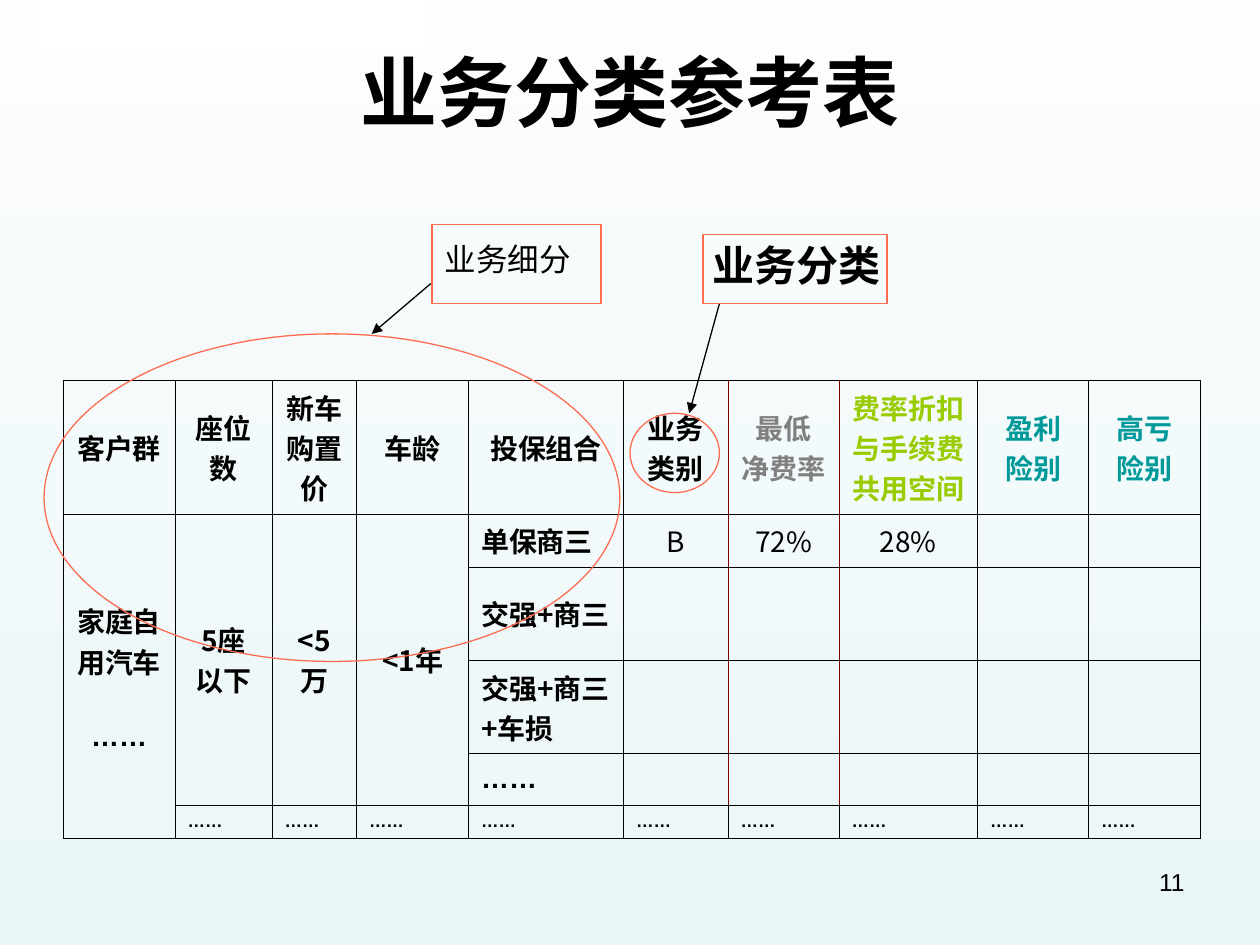
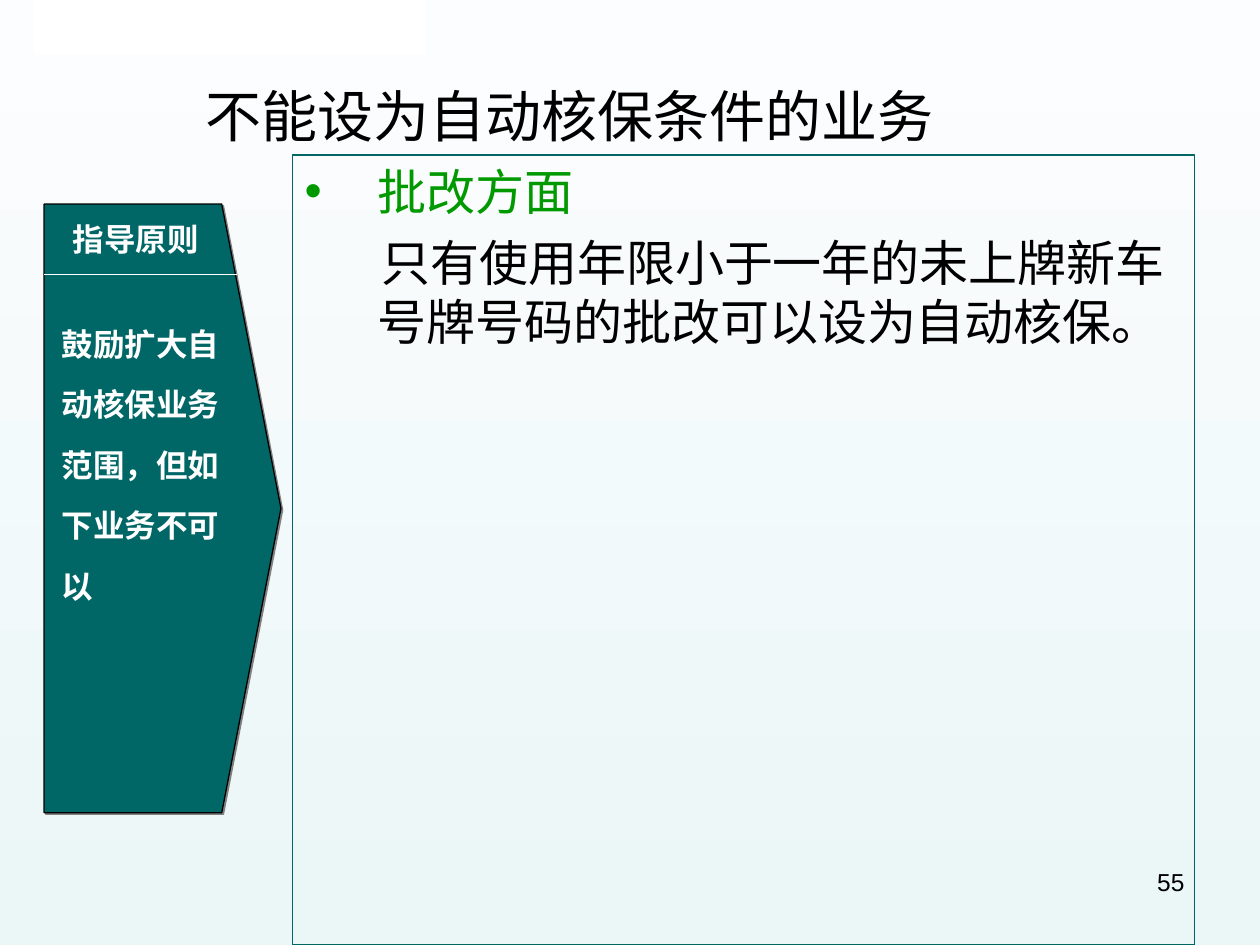
from lxml.etree import SubElement
from pptx import Presentation
from pptx.dml.color import RGBColor
from pptx.enum.shapes import MSO_CONNECTOR, MSO_SHAPE
from pptx.enum.text import MSO_ANCHOR, MSO_AUTO_SIZE, PP_ALIGN
from pptx.oxml import parse_xml
from pptx.oxml.ns import nsdecls, qn
from pptx.util import Inches, Pt

SANS = "Noto Sans CJK SC"
BLACK, WHITE, TEAL, GREEN = "000000", "FFFFFF", "006666", "009900"
CORAL, MAROON = "FE6D50", "800000"
DOTS = "……"

COLUMNS = [0.89, 0.77, 0.67, 0.89, 1.23, 0.83, 0.88, 1.1, 0.88, 0.89]
ROWS = [0.9, 0.37, 0.64, 0.64, 0.37, 0.27]
HEADERS = [
    ("客户群", BLACK), ("座位数", BLACK), ("新车\n购置价", BLACK), ("车龄", BLACK),
    ("投保组合", BLACK), ("业务类别", BLACK), ("最低\n净费率", "808080"),
    ("费率折扣\n与手续费\n共用空间", "99CC00"), ("盈利\n险别", "009999"), ("高亏\n险别", "009999"),
]
SEGMENTS = ["5座以下", "<5万", "<1年"]
COVERS = ["单保商三", "交强+商三", "交强+商三+车损", DOTS]
RATES = ["B", "72%", "28%"]


def color(code):
    return RGBColor.from_string(code)


def lengths(*values):
    return [Inches(value) for value in values]


def write(para, text, size, font="Arial", ink=BLACK, bold=False, align=PP_ALIGN.LEFT):
    para.alignment = align
    for number, line in enumerate(text.split("\n")):
        if number:
            para.add_line_break()
        span = para.add_run()
        span.text = line
        span.font.size = Pt(size)
        span.font.bold = bold
        span.font.name = font
        span.font.color.rgb = color(ink)
        properties = span.font._element
        properties.set("lang", "zh-CN")
        SubElement(properties, qn("a:ea")).set("typeface", font)


def set_frame(shape, anchor=MSO_ANCHOR.TOP, wrap=True):
    frame = shape.text_frame
    frame.word_wrap = wrap
    frame.auto_size = MSO_AUTO_SIZE.NONE
    frame.vertical_anchor = anchor
    return frame


def add_text(shapes, box, text, size, wrap=True, **style):
    frame = set_frame(shapes.add_textbox(*lengths(*box)), wrap=wrap)
    write(frame.paragraphs[0], text, size, **style)
    return frame.paragraphs[0]


def paint(shape, fill=None, line=None):
    shape.shadow.inherit = False
    if fill:
        shape.fill.solid()
        shape.fill.fore_color.rgb = color(fill)
    else:
        shape.fill.background()
    if line:
        shape.line.color.rgb = color(line)
        shape.line.width = Pt(0.75)
    else:
        shape.line.fill.background()


def add_box(shapes, kind, box, fill=None, line=None):
    shape = shapes.add_shape(kind, *lengths(*box))
    paint(shape, fill, line)
    return shape


def add_line(shapes, start, end, ink, arrow=False):
    line = shapes.add_connector(MSO_CONNECTOR.STRAIGHT, *lengths(*start, *end))
    line.line.color.rgb = color(ink)
    line.line.width = Pt(0.75)
    if arrow:
        SubElement(line.line._get_or_add_ln(), qn("a:tailEnd")).set("type", "triangle")
    SubElement(line._element.spPr, qn("a:effectLst"))


def set_background(deck):
    fill = deck.slide_master.background.fill
    fill.gradient()
    fill.gradient_angle = 270
    for stop, code in zip(fill.gradient_stops, ("FCFDFE", "EBF6F7")):
        stop.color.rgb = color(code)


def new_page(deck, title, title_box, size, number, bold=False, anchor=MSO_ANCHOR.TOP):
    page = deck.slides.add_slide(deck.slide_layouts[5])
    add_box(page.shapes, MSO_SHAPE.RECTANGLE, (0.27, 0, 3.11, 0.44), fill=WHITE)
    heading = page.shapes.title
    heading.left, heading.top, heading.width, heading.height = lengths(*title_box)
    frame = set_frame(heading, anchor)
    write(frame.paragraphs[0], title, size, bold=bold, align=PP_ALIGN.CENTER)
    add_text(page.shapes, (7.17, 6.83, 2.33, 0.52), number, 14, align=PP_ALIGN.RIGHT)
    return page


def set_borders(cell, row, column):
    inner = row < len(ROWS) - 1
    inks = {
        "lnL": MAROON if inner and column in (6, 7) else BLACK,
        "lnR": MAROON if inner and column in (5, 6) else BLACK,
        "lnT": BLACK,
        "lnB": BLACK,
    }
    properties = cell._tc.get_or_add_tcPr()
    for position, (side, ink) in enumerate(inks.items()):
        properties.insert(position, parse_xml(
            f'<a:{side} {nsdecls("a")} w="{Pt(0.45)}"><a:solidFill>'
            f'<a:srgbClr val="{ink}"/></a:solidFill></a:{side}>'))


def add_class_table(page, left, top):
    holder = page.shapes.add_table(
        len(ROWS), len(COLUMNS), *lengths(left, top, sum(COLUMNS), 3.46))
    table = holder.table
    table.first_row = table.horz_banding = False
    for column, width in zip(table.columns, COLUMNS):
        column.width = Inches(width)
    for row, height in zip(table.rows, ROWS):
        row.height = Inches(height)
    holder.height = Inches(3.46)

    for row in range(len(ROWS)):
        for column in range(len(COLUMNS)):
            cell = table.cell(row, column)
            cell.fill.background()
            cell.vertical_anchor = MSO_ANCHOR.MIDDLE
            set_borders(cell, row, column)
    table.cell(1, 0).merge(table.cell(5, 0))
    for column in range(1, 4):
        table.cell(1, column).merge(table.cell(4, column))

    def fill_cell(row, column, text, size=16, font=SANS, ink=BLACK, bold=True,
                  align=PP_ALIGN.CENTER):
        para = table.cell(row, column).text_frame.paragraphs[0]
        write(para, text, size, font, ink, bold, align)

    for column, (text, ink) in enumerate(HEADERS):
        fill_cell(0, column, text, ink=ink)
    fill_cell(1, 0, "家庭自\n用汽车")
    more = table.cell(1, 0).text_frame.add_paragraph()
    more.space_before = Pt(23)
    write(more, DOTS, 16, bold=True, align=PP_ALIGN.CENTER)
    for column, text in enumerate(SEGMENTS, 1):
        fill_cell(1, column, text)
    for row, text in enumerate(COVERS, 1):
        fill_cell(row, 4, text, font="Arial" if text == DOTS else SANS, align=PP_ALIGN.LEFT)
    for column, text in enumerate(RATES, 5):
        fill_cell(1, column, text, bold=False)
    for column in range(1, len(COLUMNS)):
        fill_cell(5, column, DOTS, size=10, font="Arial", align=PP_ALIGN.LEFT)


def add_callout(page, oval, arrow, frame_box, text_box, text, size, bold=False, wrap=True):
    add_box(page.shapes, MSO_SHAPE.OVAL, oval, line=CORAL)
    add_line(page.shapes, *arrow, BLACK, arrow=True)
    add_text(page.shapes, text_box, text, size, wrap=wrap, bold=bold)
    add_box(page.shapes, MSO_SHAPE.RECTANGLE, frame_box, line=CORAL)


def add_principle_arrow(page, left, top, width, height):
    shapes = page.shapes.add_group_shape().shapes
    shoulder = left + 1.41
    outline = [(shoulder, top), (left + width, top + height / 2),
               (shoulder, top + height), (left, top + height)]
    builder = shapes.build_freeform(*lengths(left, top))
    builder.add_line_segments([lengths(*point) for point in outline], close=True)
    arrow = builder.convert_to_shape()
    paint(arrow, TEAL, BLACK)
    shadow = SubElement(arrow._element.spPr.find(qn("a:effectLst")), qn("a:outerShdw"),
                        dist=str(Pt(1.4)), dir="2700000", algn="ctr", rotWithShape="0")
    SubElement(shadow, qn("a:srgbClr")).set("val", "808080")

    advice = add_text(shapes, (left + 0.04, top + 0.73, 1.49, 2.5),
                      "鼓励扩大自动核保业务范围，但如下业务不可以", 18, ink=WHITE, bold=True)
    advice.line_spacing = 1.6
    divider = top + 0.56
    add_line(shapes, (left, divider), (left + 1.53, divider), WHITE)
    label = add_box(shapes, MSO_SHAPE.RECTANGLE, (left + 0.13, top + 0.08, 1.2, 0.4), fill=TEAL)
    write(set_frame(label, wrap=False).paragraphs[0], "指导原则", 18, "League Spartan",
          WHITE, bold=True)


def add_rule_panel(page, box):
    panel = add_box(page.shapes, MSO_SHAPE.RECTANGLE, box, line=TEAL)
    frame = set_frame(panel)
    topic = frame.paragraphs[0]
    properties = topic._p.get_or_add_pPr()
    properties.set("marL", str(Inches(0.58)))
    properties.set("indent", str(-Inches(0.58)))
    tint = SubElement(properties, qn("a:buClr"))
    SubElement(tint, qn("a:srgbClr")).set("val", GREEN)
    SubElement(properties, qn("a:buFont")).set("typeface", "Arial")
    SubElement(properties, qn("a:buChar")).set("char", "•")
    write(topic, "批改方面", 28, SANS, GREEN)

    detail = frame.add_paragraph()
    properties = detail._p.get_or_add_pPr()
    properties.set("marL", str(Inches(0.58)))
    properties.set("indent", str(Inches(0.03)))
    detail.space_before = Pt(7)
    write(detail, "只有使用年限小于一年的未上牌新车号牌号码的批改可以设为自动核保。", 28, SANS)


def build_class_page(deck):
    page = new_page(deck, "业务分类参考表", (0.5, 0.3, 9, 1.25), 44, "11", bold=True)
    add_class_table(page, 0.5, 3.02)
    add_callout(page, (0.35, 2.65, 4.57, 2.6), ((3.42, 2.25), (2.95, 2.65)),
                (3.43, 1.78, 1.34, 0.63), (3.43, 1.86, 1.65, 0.4), "业务细分", 18)
    add_callout(page, (5, 3.28, 0.71, 0.63), ((5.71, 2.41), (5.47, 3.28)),
                (5.58, 1.86, 1.46, 0.55), (5.56, 1.85, 1.53, 0.5), "业务分类", 24,
                bold=True, wrap=False)


def build_exclusion_page(deck):
    page = new_page(deck, "不能设为自动核保条件的业务", (0.37, 0.61, 8.3, 0.62), 32, "55",
                    anchor=MSO_ANCHOR.BOTTOM)
    add_rule_panel(page, (2.32, 1.23, 7.16, 6.27))
    add_principle_arrow(page, 0.35, 1.62, 1.88, 4.83)


def main():
    deck = Presentation()
    deck.slide_width, deck.slide_height = lengths(10, 7.5)
    set_background(deck)
    build_class_page(deck)
    build_exclusion_page(deck)
    deck.save("out.pptx")


if __name__ == "__main__":
    main()
